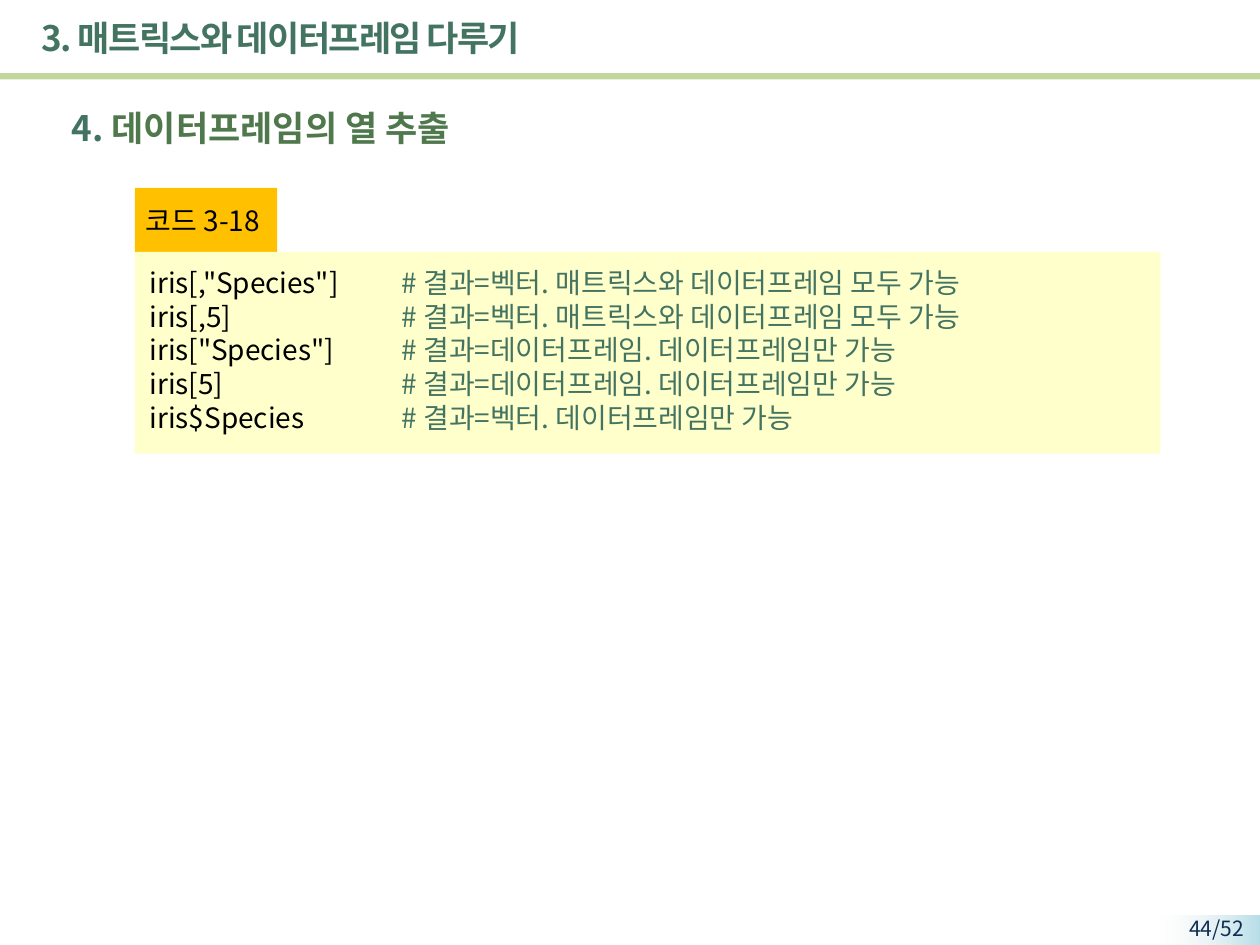
from lxml import etree
from pptx import Presentation
from pptx.dml.color import RGBColor
from pptx.enum.shapes import MSO_SHAPE
from pptx.enum.text import MSO_ANCHOR, PP_ALIGN
from pptx.oxml.ns import qn
from pptx.util import Inches, Pt

RECTANGLE = MSO_SHAPE.RECTANGLE
TOP, MIDDLE = MSO_ANCHOR.TOP, MSO_ANCHOR.MIDDLE
LEFT, RIGHT = PP_ALIGN.LEFT, PP_ALIGN.RIGHT
FONT = "Noto Sans CJK KR"
color = RGBColor.from_string
GREEN, BLACK = "437361", "000000"

presentation = Presentation()
presentation.slide_width, presentation.slide_height = Inches(10), Inches(7.5)
slide = presentation.slides.add_slide(presentation.slide_layouts[6])

# Grid of 100 columns by 75 rows; boxes are left, top, width, height
COLUMN = presentation.slide_width // 100
ROW = presentation.slide_height // 75


def add_rectangle(left, top, width, height, fill):
    shape = slide.shapes.add_shape(RECTANGLE, int(left * COLUMN), int(top * ROW),
                                   int(width * COLUMN), int(height * ROW))
    shape.shadow.inherit = False
    shape.line.fill.background()
    shape.fill.solid()
    shape.fill.fore_color.rgb = color(fill)
    return shape


def add_text(box, lines, size=16, bold=False, align=LEFT, anchor=TOP,
             wrap=True, spacing=0, tab_stop=None):
    """Each line is a list of (text, colour) runs."""
    left, top, width, height = box
    shape = slide.shapes.add_textbox(int(left * COLUMN), int(top * ROW),
                                     int(width * COLUMN), int(height * ROW))
    frame = shape.text_frame
    frame.word_wrap = wrap
    frame.vertical_anchor = anchor
    for index, line in enumerate(lines):
        paragraph = frame.paragraphs[0] if index == 0 else frame.add_paragraph()
        paragraph.alignment = align
        paragraph.line_spacing = Pt(size * 1.2)
        if tab_stop:
            tabs = etree.SubElement(paragraph._p.get_or_add_pPr(), qn("a:tabLst"))
            etree.SubElement(tabs, qn("a:tab"), pos=str(tab_stop * COLUMN), algn="l")
        for text, text_color in line:
            run = paragraph.add_run()
            run.text = text
            run.font.size = Pt(size)
            run.font.bold = bold
            run.font.name = FONT
            run.font.color.rgb = color(text_color)
            properties = run._r.get_or_add_rPr()
            etree.SubElement(properties, qn("a:ea"), typeface=FONT)
            if spacing:
                properties.set("spc", str(spacing * 100))


# Page number on a band that fades out to the left
band = add_rectangle(92, 72.7, 8, 2.4, "B7DEE8")
band.fill.gradient()
band.fill.gradient_angle = 180
for stop, stop_color in zip(band.fill.gradient_stops, ("B7DEE8", "F2F2F2")):
    stop.color.rgb = color(stop_color)
faded = list(band._element.spPr.iter(qn("a:srgbClr")))[-1]
etree.SubElement(faded, qn("a:alpha"), val="0")
add_text((90.5, 72.2, 9.2, 2.3), [[("44/52", "0F2E53")]], size=12, align=RIGHT)

# Title and rule
add_rectangle(0, 5.8, 100, 0.5, "C3D69B")
add_text((2.3, 0.4, 85.1, 5.2), [[("3. 매트릭스와 데이터프레임 다루기", GREEN)]],
         size=20, bold=True, anchor=MIDDLE, spacing=-1)

# Section heading
add_text((4.7, 8, 93.5, 4.4), [[("4. ", GREEN), ("데이터프레임의 열 추출", "4F784C")]],
         size=20, bold=True)

# Code label
add_rectangle(10.7, 14.9, 11.3, 5.2, "FFC000")
add_text((10.6, 15.7, 12, 3.7), [[("코드 3-18", BLACK)]], wrap=False)

# Code with comments aligned at one tab stop
VECTOR_BOTH = "# 결과=벡터. 매트릭스와 데이터프레임 모두 가능"
FRAME_ONLY = "# 결과=데이터프레임. 데이터프레임만 가능"
code = [
    ('iris[,"Species"]', VECTOR_BOTH),
    ("iris[,5]", VECTOR_BOTH),
    ('iris["Species"]', FRAME_ONLY),
    ("iris[5]", FRAME_ONLY),
    ("iris$Species", "# 결과=벡터. 데이터프레임만 가능"),
]
add_rectangle(10.7, 20, 81.4, 16, "FFFFCC")
add_text((10.9, 20.6, 74.6, 14.5),
         [[(statement + "\t", BLACK), (comment, GREEN)] for statement, comment in code],
         tab_stop=20)

presentation.save("out.pptx")
